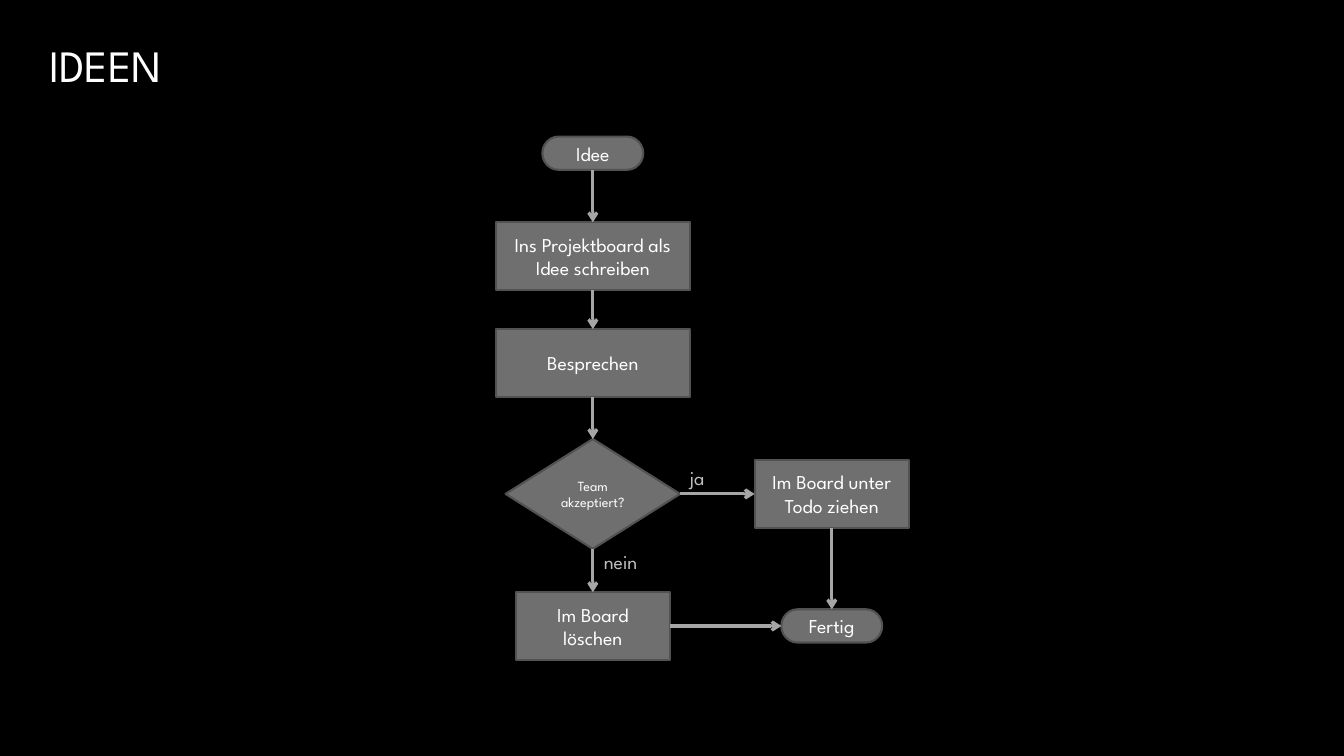
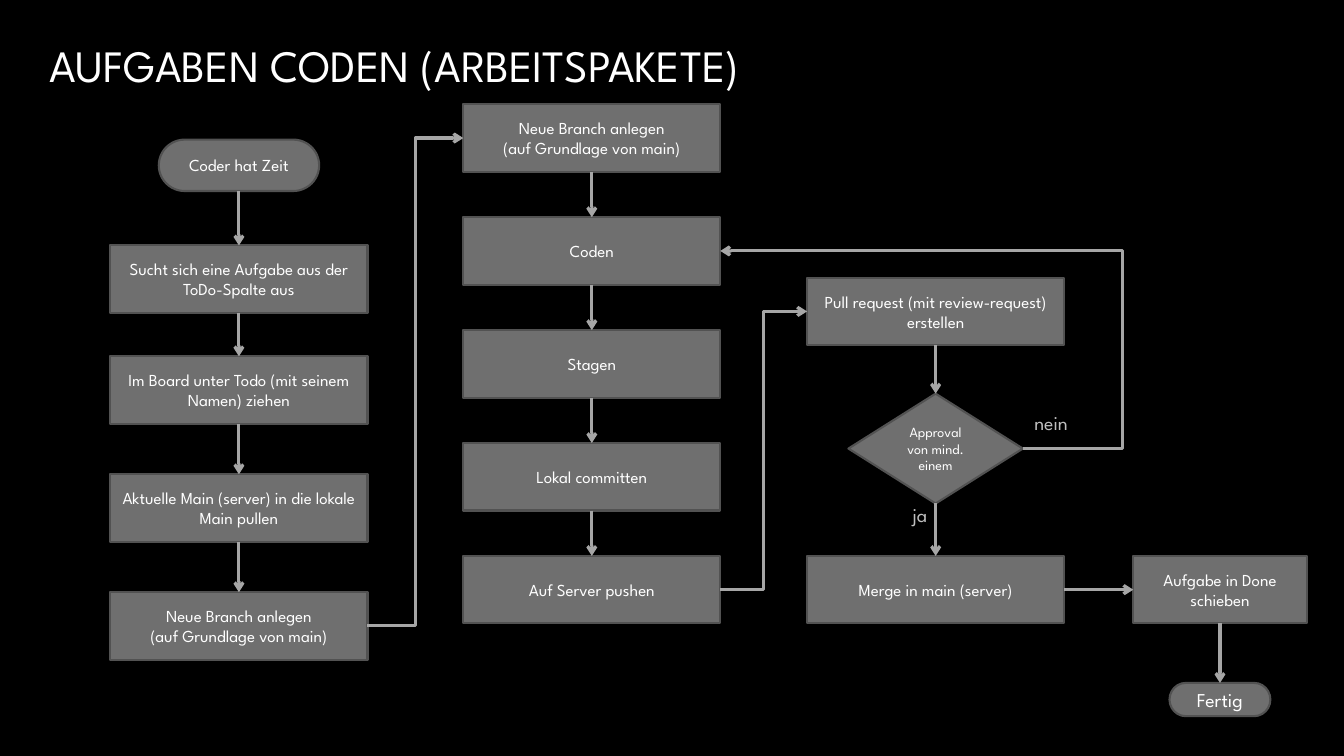
from lxml import etree
from pptx import Presentation
from pptx import util as u
from pptx.dml.color import RGBColor
from pptx.enum import shapes, text
from pptx.oxml import ns

FONT = "League Spartan"
COLORS = {
    "background": "000000",
    "title": "FFFFFF",
    "node": "6F6F6F",
    "outline": "525252",
    "node_text": "FFFFFF",
    "arrow": "A6A6A6",
    "label": "BFBFBF",
}
TOP, LEFT, BOTTOM, RIGHT = range(4)


def color(name):
    return RGBColor.from_string(COLORS[name])


class Flowchart:
    def __init__(self, prs):
        self.prs = prs
        self.node_size = None
        self.slide = None

    def new_slide(self, title, node_size):
        self.node_size = node_size
        self.slide = self.prs.slides.add_slide(self.prs.slide_layouts[6])
        fill = self.slide.background.fill
        fill.solid()
        fill.fore_color.rgb = color("background")
        heading = self.slide.shapes.add_textbox(
            u.Inches(0.39), u.Inches(0.25), u.Inches(12.48), u.Inches(0.78))
        heading.text_frame.word_wrap = True
        heading.text_frame.vertical_anchor = text.MSO_ANCHOR.MIDDLE
        self.set_text(heading, title, 32, "title")

    def set_text(self, shape, words, size, color_name, align=None):
        shape.text_frame.text = words
        for paragraph in shape.text_frame.paragraphs:
            paragraph.alignment = align
            paragraph.font.name = FONT
            paragraph.font.size = u.Pt(size)
            paragraph.font.color.rgb = color(color_name)

    def node(self, kind, words, center, extent, size=None):
        """Draw a flowchart shape around its center point."""
        (x, y), (width, height) = center, extent
        shape = self.slide.shapes.add_shape(
            kind, u.Inches(x - width / 2), u.Inches(y - height / 2),
            u.Inches(width), u.Inches(height))
        shape.shadow.inherit = False
        shape.fill.solid()
        shape.fill.fore_color.rgb = color("node")
        shape.line.color.rgb = color("outline")
        shape.line.width = u.Pt(1.5)
        shape.text_frame.word_wrap = True
        shape.text_frame.vertical_anchor = text.MSO_ANCHOR.MIDDLE
        self.set_text(shape, words, size or self.node_size, "node_text",
                      text.PP_ALIGN.CENTER)
        return shape

    def process(self, words, x, y, width=2.55):
        return self.node(shapes.MSO_SHAPE.FLOWCHART_PROCESS, words, (x, y),
                         (width, 0.67))

    def decision(self, words, x, y):
        return self.node(shapes.MSO_SHAPE.FLOWCHART_DECISION, words, (x, y),
                         (1.73, 1.09), 10)

    def terminator(self, words, x, y, extent=(1, 0.33), size=14):
        return self.node(shapes.MSO_SHAPE.FLOWCHART_TERMINATOR, words, (x, y),
                         extent, size)

    def label(self, words, left, top, width):
        box = self.slide.shapes.add_textbox(
            u.Inches(left), u.Inches(top), u.Inches(width), u.Inches(0.34))
        box.text_frame.word_wrap = False
        box.text_frame.auto_size = text.MSO_AUTO_SIZE.SHAPE_TO_FIT_TEXT
        self.set_text(box, words, 14, "label")

    def arrow(self, start, start_side, end, end_side, bend=None):
        """Join two nodes; bend is the elbow's place as a share of the width."""
        kind = shapes.MSO_CONNECTOR
        line = self.slide.shapes.add_connector(
            kind.STRAIGHT if bend is None else kind.ELBOW, 0, 0, 0, 0)
        line.begin_connect(start, start_side)
        line.end_connect(end, end_side)
        line.line.color.rgb = color("arrow")
        line.line.width = u.Pt(2.25)
        properties = line._element.spPr
        outline = properties.find(ns.qn("a:ln"))
        etree.SubElement(outline, ns.qn("a:tailEnd"), type="arrow")
        etree.SubElement(properties, ns.qn("a:effectLst"))
        if bend is not None:
            geometry = properties.find(ns.qn("a:prstGeom"))
            guides = geometry.find(ns.qn("a:avLst"))
            if guides is None:
                guides = etree.SubElement(geometry, ns.qn("a:avLst"))
            etree.SubElement(guides, ns.qn("a:gd"), name="adj1",
                             fmla=f"val {round(bend * 100000)}")

    def arrows_down(self, *nodes):
        for upper, lower in zip(nodes, nodes[1:]):
            self.arrow(upper, BOTTOM, lower, TOP)


def ideas_slide(chart):
    chart.new_slide("IDEEN", node_size=14)
    main_x, side_x = 5.88, 8.25
    accept_y, end_y = 4.9, 6.21

    idea = chart.terminator("Idee", main_x, 1.52)
    note = chart.process("Ins Projektboard als Idee schreiben", main_x, 2.54, 1.92)
    discuss = chart.process("Besprechen", main_x, 3.6, 1.92)
    accepted = chart.decision("Team akzeptiert?", main_x, accept_y)
    todo = chart.process("Im Board unter Todo ziehen", side_x, accept_y, 1.53)
    delete = chart.process("Im Board löschen", main_x, end_y, 1.53)
    done = chart.terminator("Fertig", side_x, end_y)

    chart.arrows_down(idea, note, discuss, accepted, delete)
    chart.arrows_down(todo, done)
    chart.arrow(accepted, RIGHT, todo, LEFT)
    chart.arrow(delete, RIGHT, done, LEFT)
    chart.label("ja", 6.74, 4.57, 0.38)
    chart.label("nein", 5.89, 5.41, 0.61)


def coding_slide(chart):
    chart.new_slide("AUFGABEN CODEN (ARBEITSPAKETE)", node_size=12)
    prepare_x, code_x, review_x, finish_x = 2.37, 5.87, 9.28, 12.1
    merge_y = 5.85
    new_branch = "Neue Branch anlegen\n(auf Grundlage von main)"

    free = chart.terminator("Coder hat Zeit", prepare_x, 1.64, (1.59, 0.51), 12)
    preparation = [chart.process(words, prepare_x, y) for words, y in (
        ("Sucht sich eine Aufgabe aus der ToDo-Spalte aus", 2.77),
        ("Im Board unter Todo (mit seinem Namen) ziehen", 3.87),
        ("Aktuelle Main (server) in die lokale Main pullen", 5.04),
        (new_branch, 6.21),
    )]
    coding = [chart.process(words, code_x, 1.37 + 1.12 * row)
              for row, words in enumerate((
                  new_branch, "Coden", "Stagen", "Lokal committen",
                  "Auf Server pushen"))]
    request = chart.process("Pull request (mit review-request) erstellen",
                            review_x, 3.09)
    approval = chart.decision("Approval von mind. einem", review_x, 4.45)
    merge = chart.process("Merge in main (server)", review_x, merge_y)
    move = chart.process("Aufgabe in Done schieben", finish_x, merge_y, 1.72)
    done = chart.terminator("Fertig", finish_x, 6.94)

    chart.arrows_down(free, *preparation)
    chart.arrows_down(*coding)
    chart.arrows_down(request, approval, merge)
    chart.arrows_down(move, done)
    chart.arrow(merge, RIGHT, move, LEFT)
    chart.arrow(preparation[-1], RIGHT, coding[0], LEFT, bend=0.5)
    chart.arrow(coding[-1], RIGHT, request, LEFT, bend=0.5)
    chart.arrow(approval, RIGHT, coding[1], RIGHT, bend=-0.33)
    chart.label("ja", 8.95, 4.94, 0.38)
    chart.label("nein", 10.16, 4.03, 0.61)


def main():
    prs = Presentation()
    prs.slide_width, prs.slide_height = u.Inches(13.33), u.Inches(7.5)
    chart = Flowchart(prs)
    ideas_slide(chart)
    coding_slide(chart)
    prs.save("out.pptx")


if __name__ == "__main__":
    main()
